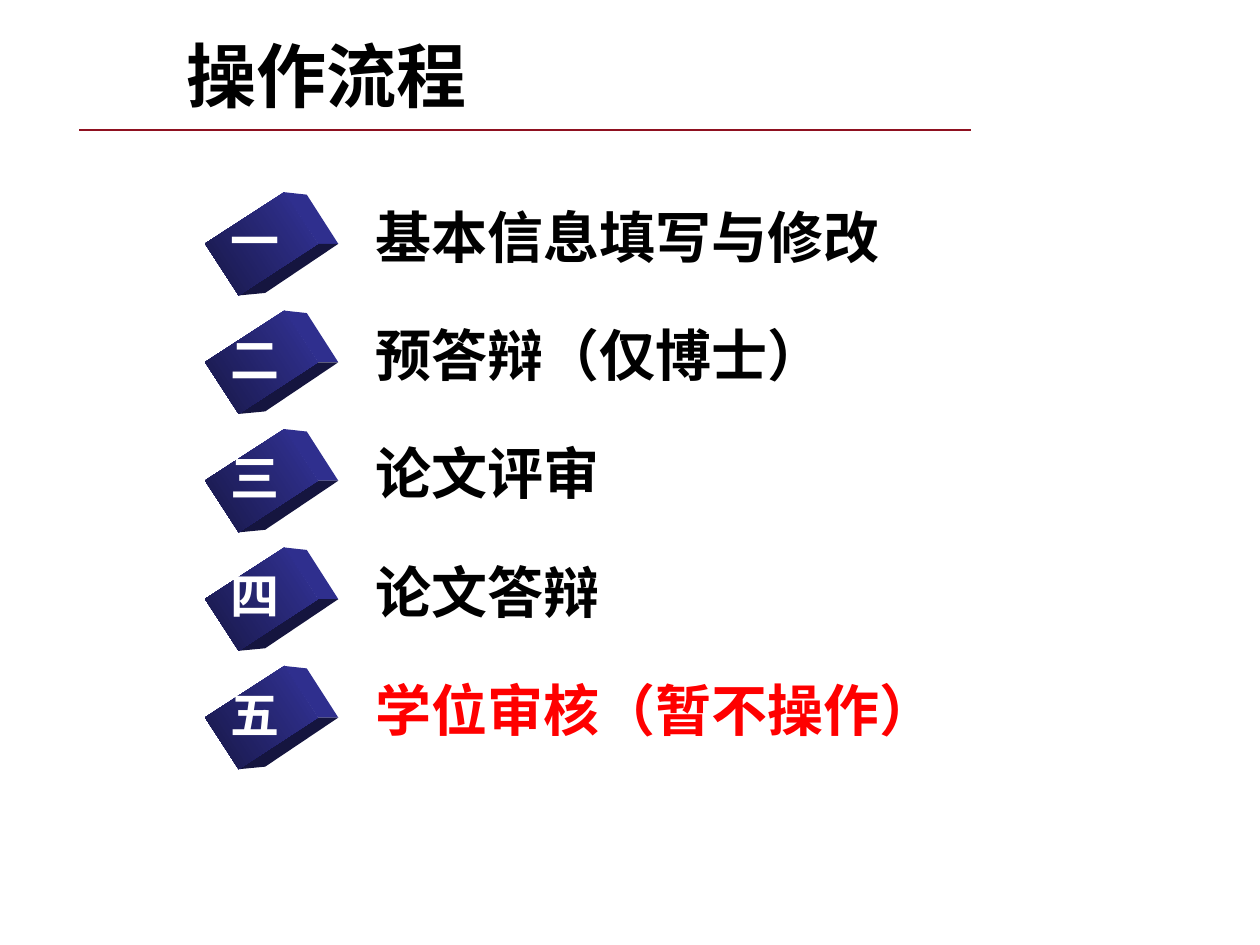
import dataclasses

import pptx
import pptx.dml.color
import pptx.enum.shapes
import pptx.enum.text
import pptx.oxml.ns
import pptx.util
from lxml import etree

Inches = pptx.util.Inches


@dataclasses.dataclass(frozen=True)
class Theme:
    text: str = "000000"
    alert: str = "FF0000"
    number: str = "FFFFFF"
    rule: str = "8F1120"
    block_light: str = "333399"
    block_dark: str = "181847"
    block_side: str = "2F2F8E"
    block_base: str = "15153F"
    title_size: int = 40
    step_size: int = 32
    number_size: int = 28
    title_font: str = "Noto Sans CJK JP"
    body_font: str = "Times New Roman"
    asian_font: str = "Noto Sans CJK JP"


THEME = Theme()
STEPS = [
    ("一", "基本信息填写与修改", 4.24, THEME.text),
    ("二", "预答辩（仅博士）", 3.79, THEME.text),
    ("三", "论文评审", 2, THEME.text),
    ("四", "论文答辩", 2, THEME.text),
    ("五", "学位审核（暂不操作）", 4.69, THEME.alert),
]
FIRST_TOP, STEP_GAP = 1.55, 0.94
SIDE_FACE = [(0.18, -0.41), (0.36, -0.39), (0.61, 0), (0.45, 0)]
BASE_FACE = [(-0.18, 0.41), (0.45, 0), (0.61, 0), (0.03, 0.39)]


def rgb(value):
    return pptx.dml.color.RGBColor.from_string(value)


def set_text(sp, text, size, color, font):
    tf = sp.text_frame
    tf.text = text
    tf.word_wrap = False
    tf.auto_size = pptx.enum.text.MSO_AUTO_SIZE.NONE
    tf.vertical_anchor = pptx.enum.text.MSO_ANCHOR.MIDDLE
    tf.margin_top = tf.margin_bottom = 0
    p = tf.paragraphs[0]
    p.alignment = pptx.enum.text.PP_ALIGN.LEFT
    r = p.runs[0]
    r.font.size = pptx.util.Pt(size)
    r.font.bold = True
    r.font.name = font
    r.font.color.rgb = rgb(color)
    ea = etree.SubElement(r.font._element, pptx.oxml.ns.qn("a:ea"))
    ea.set("typeface", THEME.asian_font)


def add_title(s, text):
    sp = s.shapes.title
    sp.left, sp.top = Inches(1.38), Inches(0.21)
    sp.width, sp.height = Inches(5.12), Inches(0.77)
    set_text(sp, text, THEME.title_size, THEME.text, THEME.title_font)


def add_rule(s):
    line = s.shapes.add_connector(
        pptx.enum.shapes.MSO_CONNECTOR.STRAIGHT,
        Inches(0.63), Inches(1.03), Inches(7.71), Inches(1.03))
    line.line.color.rgb = rgb(THEME.rule)
    line.line.width = pptx.util.Pt(1.25)
    etree.SubElement(line._element.spPr, pptx.oxml.ns.qn("a:effectLst"))


def add_label(shapes, left, top, width, height, text, size, color):
    sp = shapes.add_textbox(Inches(left), Inches(top), Inches(width), Inches(height))
    set_text(sp, text, size, color, THEME.body_font)


def add_face(shapes, x, y, points, color):
    corners = [(Inches(x + dx), Inches(y + dy)) for dx, dy in points]
    builder = shapes.build_freeform(*corners[0])
    builder.add_line_segments(corners[1:], close=True)
    sp = builder.convert_to_shape()
    sp.fill.solid()
    sp.fill.fore_color.rgb = rgb(color)
    sp.line.fill.background()
    sp.shadow.inherit = False


def add_block(shapes, left, top):
    width, height = 0.49, 0.75
    x, y = left + width / 2, top + height / 2
    add_face(shapes, x, y, SIDE_FACE, THEME.block_side)
    add_face(shapes, x, y, BASE_FACE, THEME.block_base)
    sp = shapes.add_shape(
        pptx.enum.shapes.MSO_SHAPE.RECTANGLE,
        Inches(left), Inches(top), Inches(width), Inches(height))
    sp.rotation = 57
    sp.fill.gradient()
    sp.fill.gradient_angle = 270
    for stop, color in zip(sp.fill.gradient_stops, (THEME.block_light, THEME.block_dark)):
        stop.color.rgb = rgb(color)
    sp.line.fill.background()
    sp.shadow.inherit = False


def add_step(s, top, number, text, width, color):
    shapes = s.shapes.add_group_shape().shapes
    add_block(shapes, 1.83, top + 0.01)
    add_label(shapes, 2.88, top, width, 0.64, text, THEME.step_size, color)
    add_label(shapes, 1.73, top + 0.07, 0.59, 0.57, number, THEME.number_size, THEME.number)


def main():
    prs = pptx.Presentation()
    prs.slide_width, prs.slide_height = Inches(10), Inches(7.5)
    s = prs.slides.add_slide(prs.slide_layouts.get_by_name("Title Only"))
    add_rule(s)
    add_title(s, "操作流程")
    for i, step in enumerate(STEPS):
        add_step(s, FIRST_TOP + i * STEP_GAP, *step)
    prs.save("out.pptx")


if __name__ == "__main__":
    main()
